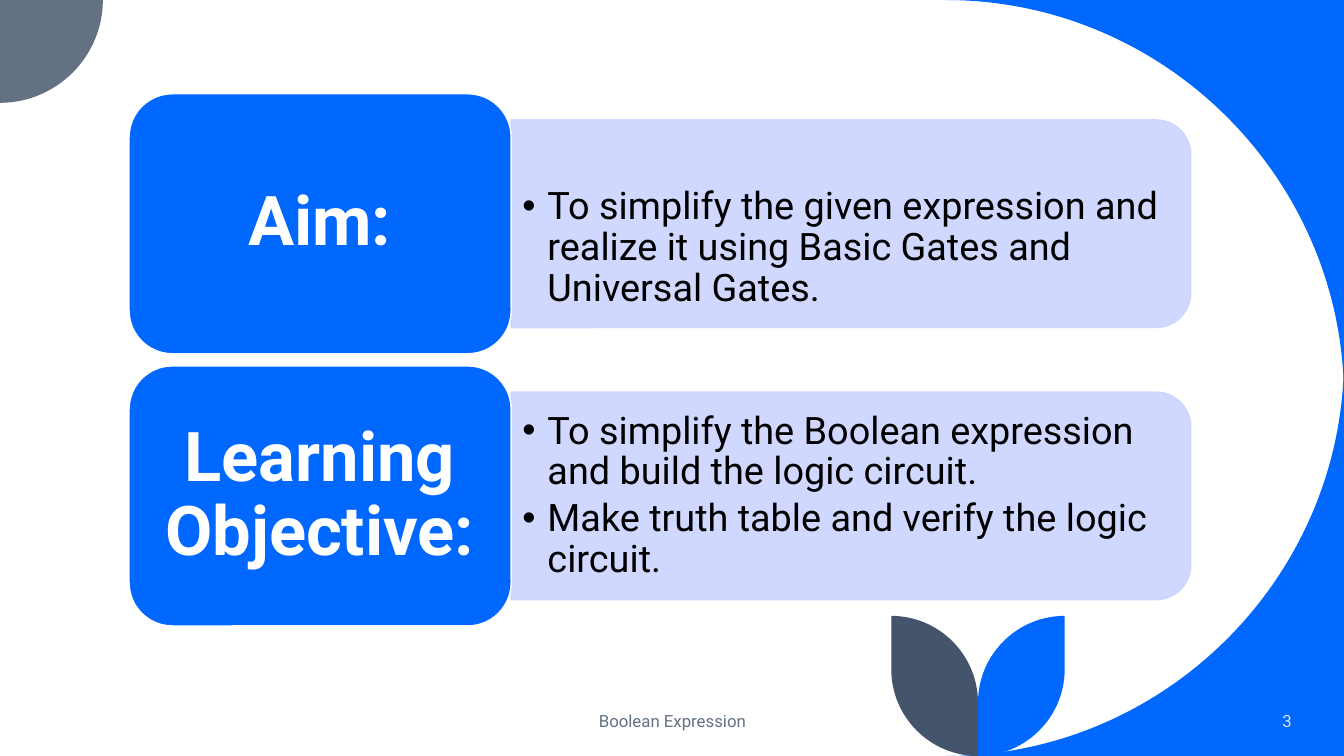
"""Build the aim and learning objective slide."""
from dataclasses import dataclass
from typing import Any, Optional

from lxml.etree import SubElement
from pptx import Presentation
from pptx.dml.color import RGBColor
from pptx.enum.shapes import MSO_SHAPE
from pptx.enum.text import MSO_ANCHOR, MSO_AUTO_SIZE, PP_ALIGN
from pptx.oxml.ns import qn
from pptx.util import Inches, Pt

BLUE = RGBColor(0x00, 0x68, 0xFF)
GREY = RGBColor(0x63, 0x71, 0x83)
SLATE = RGBColor(0x44, 0x54, 0x6A)
LAVENDER = RGBColor(0xCC, 0xD4, 0xFF)
PALE = RGBColor(0xDA, 0xE5, 0xEF)
WHITE = RGBColor(0xFF, 0xFF, 0xFF)
BLACK = RGBColor(0x00, 0x00, 0x00)

ROW_TOP, ROW_PITCH = 0.93, 2.7
STEM = 9.7
ARC_PULL = 0.55


@dataclass(frozen=True)
class Step:
    """A point to reach, by a quarter arc when its tangent corner is given."""
    x: float
    y: float
    corner: Optional[tuple[float, float]] = None


@dataclass(frozen=True)
class Ornament:
    color: RGBColor
    steps: tuple[Step, ...]


@dataclass(frozen=True)
class Row:
    heading: str
    heading_index: int
    bullets: tuple[str, ...]
    list_index: int
    inset_top: float


@dataclass(frozen=True)
class Style:
    color: RGBColor
    font: dict[str, Any]
    para: dict[str, Any]
    insets: tuple[float, float] = (0.1, 0.05)


@dataclass(frozen=True)
class Label:
    text: str
    left: float
    width: float
    style: Style


def leaf(color: RGBColor, tip: float) -> Ornament:
    return Ornament(color, (Step(tip, 6.11), Step(tip, 6.64), Step(STEM, 7.5, (tip, 7.5)),
                            Step(STEM, 6.97), Step(tip, 6.11, (STEM, 6.11))))


ORNAMENTS = (
    Ornament(BLUE, (Step(13.33, 0), Step(9.38, 0), Step(13.33, 3.95, (13.33, 0)))),
    Ornament(BLUE, (Step(13.33, 3.55), Step(9.38, 7.5, (13.33, 7.5)), Step(13.33, 7.5))),
    Ornament(GREY, (Step(0, 0), Step(1.02, 0), Step(0, 1.02, (1.02, 1.02)))),
    leaf(BLUE, 10.56),
    leaf(SLATE, 8.84),
)
ROWS = (
    Row("Aim:", 0, ("To simplify the given expression and realize it using "
                    "Basic Gates and Universal Gates.",), 2, 0.55),
    Row("Learning Objective:", 3, ("To simplify the Boolean expression and build the logic circuit.",
                                   "Make truth table and verify the logic circuit."), 4, 0.06),
)
HEADING = Style(WHITE, {"name": "Roboto", "size": Pt(49), "bold": True},
                {"alignment": PP_ALIGN.CENTER, "line_spacing": 0.9, "space_before": Pt(0)}, (0.2, 0.1))
BULLETS = Style(BLACK, {"name": "Roboto", "size": Pt(27), "bold": False},
                {"alignment": PP_ALIGN.LEFT, "line_spacing": 0.9,
                 "space_before": Pt(0), "space_after": Pt(4)}, (0.11, 0.06))
SMALL = {"name": "Roboto", "size": Pt(12)}
LABELS = (
    Label("Boolean Expression", 4.42, 4.5, Style(GREY, SMALL, {"alignment": PP_ALIGN.CENTER})),
    Label("3", 11.1, 1.81, Style(PALE, SMALL, {"alignment": PP_ALIGN.RIGHT})),
)


def bend(line: Any, start: tuple[int, int], corner: tuple[int, int]) -> None:
    end_point = line.find(qn("a:pt"))
    end = int(end_point.get("x")), int(end_point.get("y"))
    line.tag = qn("a:cubicBezTo")
    for position, anchor in enumerate((start, end)):
        x, y = (round(a + ARC_PULL * (c - a)) for a, c in zip(anchor, corner))
        control = SubElement(line, qn("a:pt"), x=str(x), y=str(y))
        line.insert(position, control)


def draw_ornament(page: Any, ornament: Ornament) -> None:
    outline = [(Inches(step.x), Inches(step.y)) for step in ornament.steps]
    builder = page.shapes.build_freeform(*outline[0])
    builder.add_line_segments(outline[1:], close=True)
    shape = builder.convert_to_shape()
    lines = list(shape._element.spPr.iter(qn("a:lnTo")))
    for line, (x, y), step in zip(lines, outline, ornament.steps[1:]):
        if step.corner:
            corner_x, corner_y = map(Inches, step.corner)
            bend(line, (x - shape.left, y - shape.top), (corner_x - shape.left, corner_y - shape.top))
    shape.shadow.inherit = False
    shape.fill.solid()
    shape.fill.fore_color.rgb = ornament.color
    shape.line.fill.background()


def add_panel(page: Any, kind: MSO_SHAPE, place: tuple[float, ...], fill: RGBColor, line: RGBColor) -> Any:
    panel = page.shapes.add_shape(kind, *map(Inches, place))
    panel.shadow.inherit = False
    panel.fill.solid()
    panel.fill.fore_color.rgb = fill
    panel.line.color.rgb = line
    panel.line.width = Pt(1)
    return panel


def write(box: Any, place: tuple[float, ...], texts: tuple[str, ...], style: Style) -> None:
    for name, value in zip(("left", "top", "width", "height"), place):
        setattr(box, name, Inches(value))
    frame = box.text_frame
    side, edge = map(Inches, style.insets)
    frame_format = {"word_wrap": True, "auto_size": MSO_AUTO_SIZE.NONE,
                    "vertical_anchor": MSO_ANCHOR.MIDDLE, "margin_left": side,
                    "margin_right": side, "margin_top": edge, "margin_bottom": edge}
    for name, value in frame_format.items():
        setattr(frame, name, value)
    for number, text in enumerate(texts):
        para = frame.paragraphs[0] if number == 0 else frame.add_paragraph()
        span = para.add_run()
        span.text = text
        span.font.color.rgb = style.color
        for target, values in ((para, style.para), (span.font, style.font)):
            for name, value in values.items():
                setattr(target, name, value)


def draw_row(page: Any, row: Row, top: float) -> None:
    holders = {holder.placeholder_format.idx: holder for holder in page.placeholders}
    panel = add_panel(page, MSO_SHAPE.ROUND_2_SAME_RECTANGLE, (7.41, top - 2.08, 2.06, 6.74), LAVENDER, LAVENDER)
    panel.rotation = 90
    for color in panel._element.spPr.iter(qn("a:srgbClr")):
        SubElement(color, qn("a:alpha"), val="90000")
    add_panel(page, MSO_SHAPE.ROUNDED_RECTANGLE, (1.28, top, 3.79, 2.58), BLUE, WHITE)
    heading, items = holders[row.heading_index], holders[row.list_index]
    for holder in (heading, items):
        page.shapes._spTree.append(holder._element)
    write(heading, (1.4, top + 0.13, 3.54, 2.32), (row.heading,), HEADING)
    write(items, (5.07, top + 0.36, 6.64, 1.86), row.bullets, BULLETS)
    items.text_frame.margin_top = Inches(row.inset_top)
    for para in items.text_frame.paragraphs:
        properties = para._p.get_or_add_pPr()
        properties.set("marL", str(Inches(0.25)))
        properties.set("indent", str(Inches(-0.25)))


def main() -> None:
    deck = Presentation()
    deck.slide_width, deck.slide_height = Inches(13.33), Inches(7.5)
    page = deck.slides.add_slide(deck.slide_layouts[4])
    used = {index for row in ROWS for index in (row.heading_index, row.list_index)}
    for holder in list(page.placeholders):
        if holder.placeholder_format.idx not in used:
            page.shapes._spTree.remove(holder._element)
    for ornament in ORNAMENTS:
        draw_ornament(page, ornament)
    for number, row in enumerate(ROWS):
        draw_row(page, row, ROW_TOP + number * ROW_PITCH)
    for label in LABELS:
        place = (label.left, 6.95, label.width, 0.4)
        write(page.shapes.add_textbox(*map(Inches, place)), place, (label.text,), label.style)
    deck.save("out.pptx")


if __name__ == "__main__":
    main()
